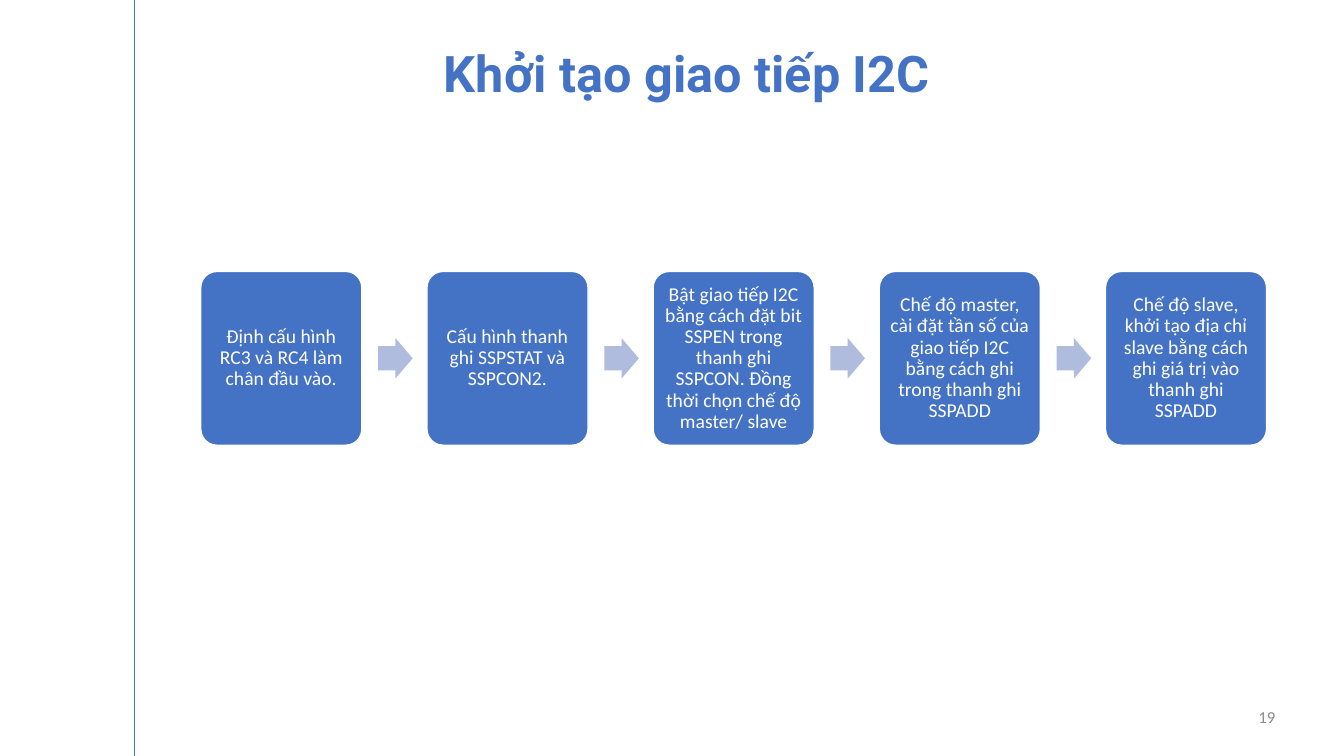
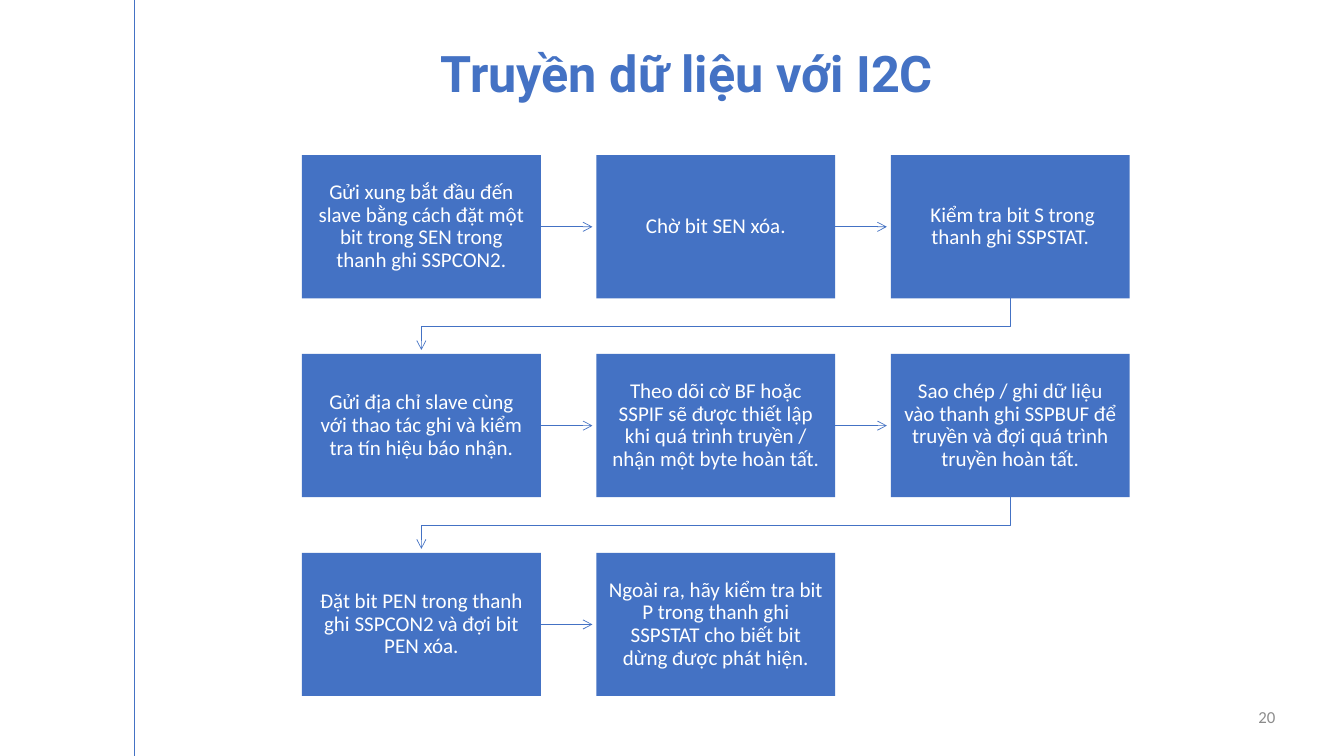
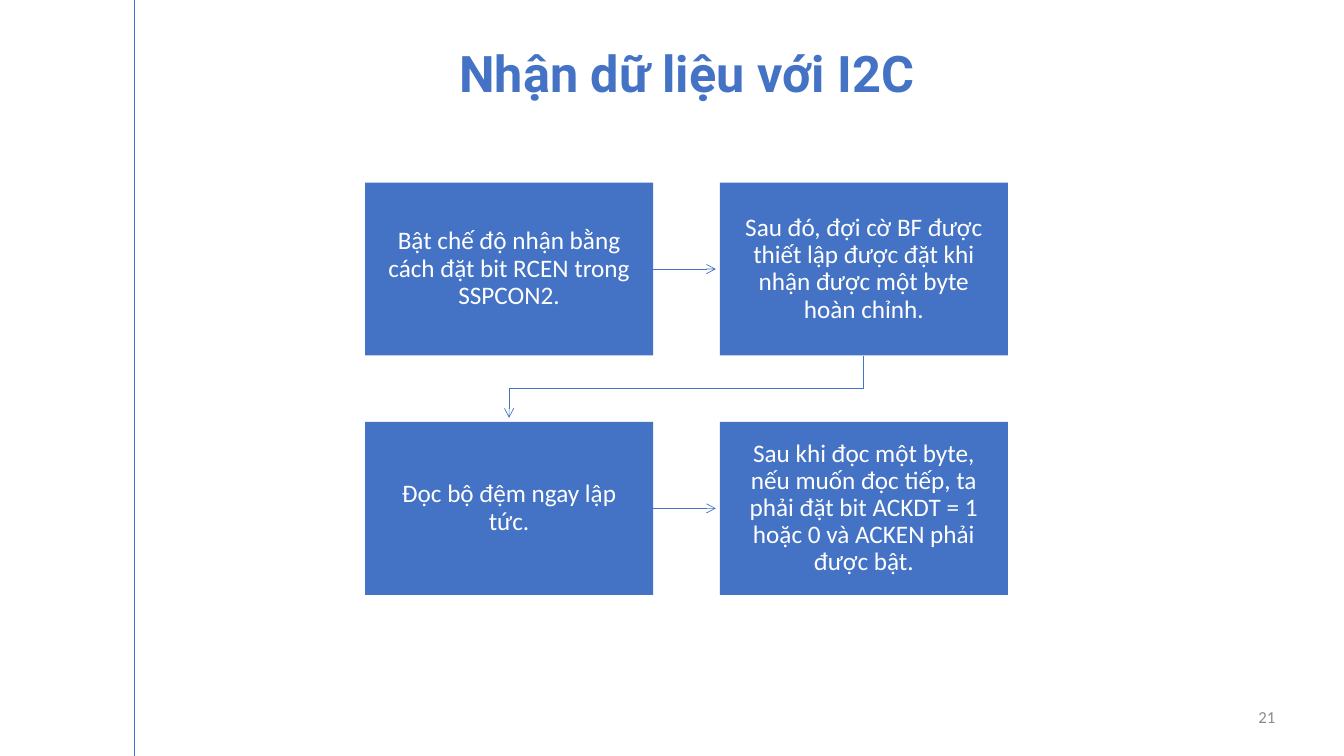
from dataclasses import dataclass

from lxml import etree
from pptx import Presentation
from pptx.dml.color import RGBColor
from pptx.enum.shapes import MSO_CONNECTOR, MSO_SHAPE
from pptx.enum.text import MSO_ANCHOR, MSO_AUTO_SIZE, PP_ALIGN
from pptx.oxml.ns import qn
from pptx.util import Cm, Pt

STRAIGHT = MSO_CONNECTOR.STRAIGHT
RECTANGLE = MSO_SHAPE.RECTANGLE
ROUNDED = MSO_SHAPE.ROUNDED_RECTANGLE
RIGHT_ARROW = MSO_SHAPE.RIGHT_ARROW
MIDDLE, TOP = MSO_ANCHOR.MIDDLE, MSO_ANCHOR.TOP
CENTER, RIGHT = PP_ALIGN.CENTER, PP_ALIGN.RIGHT
FIT_SHAPE = MSO_AUTO_SIZE.SHAPE_TO_FIT_TEXT

COLORS = {"blue": "4472C4", "pale": "B0BCDE", "white": "FFFFFF", "gray": "8C8C8C"}
SLIDE_WIDTH, SLIDE_HEIGHT = 33.87, 19.05
RULE_X = 3.39
RULE_WIDTH = 0.5
FIRST_NUMBER = 19
TITLE_ONLY = 5
ARROW_GAP = 0.1
BLOCK_ARROW_WIDTH, BLOCK_ARROW_HEIGHT = 0.87, 1.02

TITLE_PLACE = {"left": Cm(10.51), "top": Cm(0.94), "width": Cm(13.6), "height": Cm(1.8)}
TITLE_FRAME = {"word_wrap": False, "auto_size": FIT_SHAPE, "vertical_anchor": TOP}
TITLE_FONT = {"name": "Roboto", "size": Pt(36), "bold": True}
NUMBER_FONT = {"name": "Calibri", "size": Pt(12)}


@dataclass(frozen=True)
class Grid:
    left: float
    top: float
    width: float
    height: float
    column_step: float
    row_step: float
    columns: int
    inset: float
    font_size: int
    rounded: bool = False

    def corner(self, index: int) -> tuple[float, float]:
        row, column = divmod(index, self.columns)
        return self.left + column * self.column_step, self.top + row * self.row_step


@dataclass(frozen=True)
class Flow:
    title: str
    grid: Grid
    steps: tuple[str, ...]


FLOWS = (
    Flow(
        "Khởi tạo giao tiếp I2C",
        Grid(5.06, 6.84, 4.06, 4.38, 5.7, 0, 5, 0.15, 14, rounded=True),
        (
            "Định cấu hình RC3 và RC4 làm chân đầu vào.",
            "Cấu hình thanh ghi SSPSTAT và SSPCON2.",
            "Bật giao tiếp I2C bằng cách đặt bit SSPEN trong thanh ghi SSPCON. "
            "Đồng thời chọn chế độ master/ slave",
            "Chế độ master, cài đặt tần số của giao tiếp I2C bằng cách ghi trong "
            "thanh ghi SSPADD",
            "Chế độ slave, khởi tạo địa chỉ slave bằng cách ghi giá trị vào "
            "thanh ghi SSPADD",
        ),
    ),
    Flow(
        "Truyền dữ liệu với I2C",
        Grid(7.61, 3.91, 6.02, 3.61, 7.42, 5.01, 3, 0.3, 15),
        (
            "Gửi xung bắt đầu đến slave bằng cách đặt một bit trong SEN trong "
            "thanh ghi SSPCON2.",
            "Chờ bit SEN xóa.",
            " Kiểm tra bit S trong thanh ghi SSPSTAT.",
            "Gửi địa chỉ slave cùng với thao tác ghi và kiểm tra tín hiệu báo nhận.",
            "Theo dõi cờ BF hoặc SSPIF sẽ được thiết lập khi quá trình truyền / "
            "nhận một byte hoàn tất.",
            "Sao chép / ghi dữ liệu vào thanh ghi SSPBUF để truyền và đợi quá "
            "trình truyền hoàn tất.",
            "Đặt bit PEN trong thanh ghi SSPCON2 và đợi bit PEN xóa.",
            "Ngoài ra, hãy kiểm tra bit P trong thanh ghi SSPSTAT cho biết bit "
            "dừng được phát hiện.",
        ),
    ),
    Flow(
        "Nhận dữ liệu với I2C",
        Grid(9.2, 4.6, 7.26, 4.36, 8.94, 6.03, 2, 0.36, 18),
        (
            "Bật chế độ nhận bằng cách đặt bit RCEN trong SSPCON2.",
            "Sau đó, đợi cờ BF được thiết lập được đặt khi nhận được một byte "
            "hoàn chỉnh.",
            "Đọc bộ đệm ngay lập tức.",
            "Sau khi đọc một byte, nếu muốn đọc tiếp, ta phải đặt bit ACKDT = 1 "
            "hoặc 0 và ACKEN phải được bật.",
        ),
    ),
)


def color(name: str) -> RGBColor:
    return RGBColor.from_string(COLORS[name])


def apply(target, values: dict) -> None:
    for name, value in values.items():
        setattr(target, name, value)


def write(frame, text: str, font: dict, ink: str, alignment, spacing: float = 1.0) -> None:
    para = frame.paragraphs[0]
    apply(para, {"alignment": alignment, "line_spacing": spacing})
    span = para.add_run()
    span.text = text
    apply(span.font, font)
    span.font.color.rgb = color(ink)


def style_line(line, ink: str, width: float) -> None:
    line.color.rgb = color(ink)
    line.width = Pt(width)


def add_arrowhead(shape) -> None:
    etree.SubElement(shape.get_or_add_ln(), qn("a:tailEnd"), type="arrow")


def add_line(page, start: tuple[float, float], end: tuple[float, float], arrow: bool = False) -> None:
    line = page.shapes.add_connector(STRAIGHT, *map(Cm, start + end))
    style_line(line.line, "blue", RULE_WIDTH)
    if arrow:
        add_arrowhead(line)
    etree.SubElement(line.element.spPr, qn("a:effectLst"))


def add_elbow(page, points: list[tuple[float, float]]) -> None:
    start, *rest = [(Cm(x), Cm(y)) for x, y in points]
    builder = page.shapes.build_freeform(*start)
    builder.add_line_segments(rest, close=False)
    elbow = builder.convert_to_shape()
    elbow.shadow.inherit = False
    elbow.fill.background()
    style_line(elbow.line, "blue", RULE_WIDTH)
    add_arrowhead(elbow)


def add_filled(page, kind, place: tuple[float, ...], fill: str):
    shape = page.shapes.add_shape(kind, *map(Cm, place))
    shape.shadow.inherit = False
    shape.fill.solid()
    shape.fill.fore_color.rgb = color(fill)
    shape.line.fill.background()
    return shape


def add_step(page, grid: Grid, index: int, text: str) -> None:
    place = (*grid.corner(index), grid.width, grid.height)
    box = add_filled(page, ROUNDED if grid.rounded else RECTANGLE, place, "blue")
    if grid.rounded:
        box.adjustments[0] = 0.1
        style_line(box.line, "white", 1)
    margins = {f"margin_{side}": Cm(grid.inset) for side in ("left", "top", "right", "bottom")}
    apply(box.text_frame, {"word_wrap": True, "vertical_anchor": MIDDLE, **margins})
    font = {"name": "Calibri", "size": Pt(grid.font_size)}
    write(box.text_frame, text, font, "white", CENTER, 0.9)


def add_link(page, grid: Grid, index: int) -> None:
    left, top = grid.corner(index)
    next_left, next_top = grid.corner(index + 1)
    right, bottom = left + grid.width, top + grid.height
    middle = top + grid.height / 2
    if grid.rounded:
        place = (right + 0.41, middle - BLOCK_ARROW_HEIGHT / 2, BLOCK_ARROW_WIDTH, BLOCK_ARROW_HEIGHT)
        arrow = add_filled(page, RIGHT_ARROW, place, "pale")
        arrow.adjustments[0] = 0.6
    elif next_top == top:
        add_line(page, (right, middle), (next_left - ARROW_GAP, middle), arrow=True)
    else:
        start_x, end_x = left + grid.width / 2, next_left + grid.width / 2
        turn = (bottom + next_top) / 2
        add_elbow(page, [(start_x, bottom), (start_x, turn), (end_x, turn), (end_x, next_top - ARROW_GAP)])


def add_frame(page, title: str, number: int) -> None:
    add_line(page, (RULE_X, 0), (RULE_X, SLIDE_HEIGHT))
    heading = page.shapes.title
    apply(heading, TITLE_PLACE)
    apply(heading.text_frame, TITLE_FRAME)
    write(heading.text_frame, title, TITLE_FONT, "blue", CENTER)
    box = page.shapes.add_textbox(Cm(31.27), Cm(17.55), Cm(1.12), Cm(1.02))
    apply(box.text_frame, {"word_wrap": True, "vertical_anchor": MIDDLE})
    write(box.text_frame, str(number), NUMBER_FONT, "gray", RIGHT)


def add_flow(deck, flow: Flow, number: int) -> None:
    page = deck.slides.add_slide(deck.slide_layouts[TITLE_ONLY])
    add_frame(page, flow.title, number)
    for index, text in enumerate(flow.steps):
        add_step(page, flow.grid, index, text)
        if index + 1 < len(flow.steps):
            add_link(page, flow.grid, index)


def main() -> None:
    deck = Presentation()
    apply(deck, {"slide_width": Cm(SLIDE_WIDTH), "slide_height": Cm(SLIDE_HEIGHT)})
    for number, flow in enumerate(FLOWS, FIRST_NUMBER):
        add_flow(deck, flow, number)
    deck.save("out.pptx")


if __name__ == "__main__":
    main()
